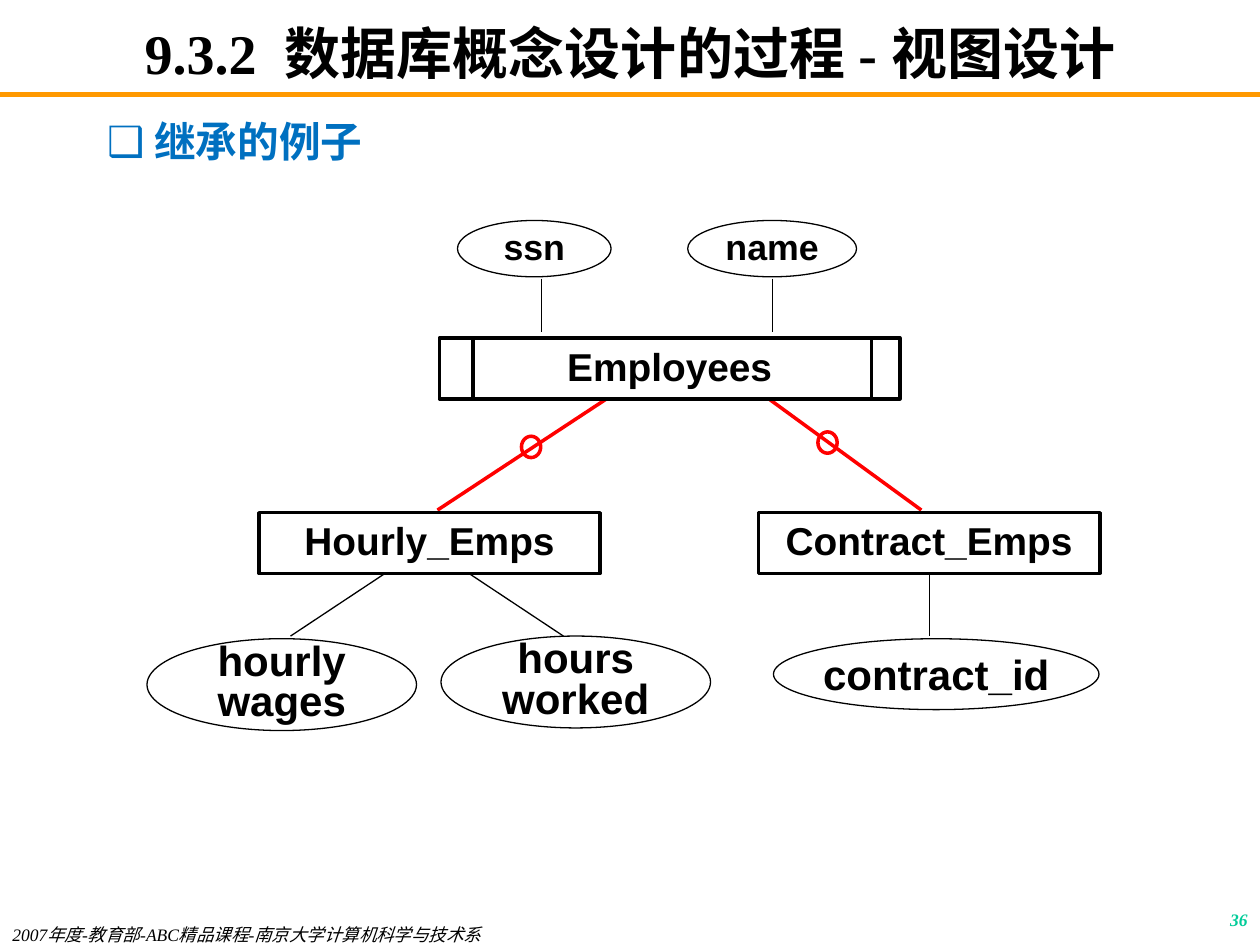
import pptx
import pptx.util
import pptx.dml.color
import pptx.enum.shapes
import pptx.enum.text
import pptx.oxml.ns
import pptx.oxml.xmlchemy
from lxml import etree

Pt = pptx.util.Pt
qn = pptx.oxml.ns.qn
MSO_SHAPE = pptx.enum.shapes.MSO_SHAPE
ALIGN = pptx.enum.text.PP_ALIGN
ANCHOR = pptx.enum.text.MSO_ANCHOR

COLORS = {
    "black": "000000",
    "white": "FFFFFF",
    "orange": "FF9900",
    "green": "00CC99",
    "blue": "0070C0",
    "red": "FF0000",
}
LATIN, SANS, CJK = "Times New Roman", "Arial", "Noto Sans CJK SC"


def rgb(name):
    return pptx.dml.color.RGBColor.from_string(COLORS[name])


def style_paragraph(paragraph, size, font=LATIN, color="black", bold=True,
                    italic=False, align=None, spacing=None):
    paragraph.font.size = Pt(size)
    paragraph.font.name = font
    paragraph.font.bold = bold
    paragraph.font.italic = italic
    paragraph.font.color.rgb = rgb(color)
    paragraph.alignment = align
    paragraph.line_spacing = spacing
    defaults = paragraph._p.pPr.find(qn("a:defRPr"))
    etree.SubElement(defaults, qn("a:ea"), typeface=CJK)


def fill_frame(frame, text, margins, anchor=ANCHOR.TOP, wrap=True, **style):
    """Write one styled paragraph; margins are horizontal and vertical."""
    frame.auto_size = pptx.enum.text.MSO_AUTO_SIZE.NONE
    frame.word_wrap = wrap
    frame.vertical_anchor = anchor
    frame.margin_left = frame.margin_right = Pt(margins[0])
    frame.margin_top = frame.margin_bottom = Pt(margins[1])
    frame.text = text
    paragraph = frame.paragraphs[0]
    style_paragraph(paragraph, **style)
    return paragraph


def place(shape, left, top, width, height):
    shape.left, shape.top = Pt(left), Pt(top)
    shape.width, shape.height = Pt(width), Pt(height)


def add_bullet(paragraph, character, color, indent):
    properties = paragraph._p.pPr
    properties.set("marL", str(Pt(indent)))
    properties.set("indent", str(-Pt(indent)))
    bullet_color = etree.Element(qn("a:buClr"))
    etree.SubElement(bullet_color, qn("a:srgbClr"), val=COLORS[color])
    bullet = etree.Element(qn("a:buChar"), char=character)
    defaults = properties.find(qn("a:defRPr"))
    defaults.addprevious(bullet_color)
    defaults.addprevious(bullet)


def add_text(slide, box, text, margins, **style):
    text_box = slide.shapes.add_textbox(*map(Pt, box))
    fill_frame(text_box.text_frame, text, margins, **style)


def add_line(slide, start, end, color="black", width=0.75):
    line = slide.shapes.add_connector(
        pptx.enum.shapes.MSO_CONNECTOR.STRAIGHT, *map(Pt, start + end))
    line.line.color.rgb = rgb(color)
    line.line.width = Pt(width)
    etree.SubElement(line._element.spPr, qn("a:effectLst"))
    return line


def add_outlined(slide, kind, box, color="black", width=0.75):
    shape = slide.shapes.add_shape(kind, *map(Pt, box))
    shape.shadow.inherit = False
    shape.fill.background()
    shape.line.color.rgb = rgb(color)
    shape.line.width = Pt(width)
    return shape


def add_labelled(slide, kind, box, text, size, width, spacing, margins=(0, 0)):
    shape = add_outlined(slide, kind, box, width=width)
    shape.fill.solid()
    shape.fill.fore_color.rgb = rgb("white")
    fill_frame(shape.text_frame, text, margins, ANCHOR.MIDDLE, wrap=" " in text,
               size=size, font=SANS, align=ALIGN.CENTER, spacing=spacing)
    return shape


def add_entity(slide, box, text):
    return add_labelled(slide, MSO_SHAPE.RECTANGLE, box, text, 22.2, 2, 0.9,
                        (7.2, 3.6))


def add_attribute(slide, box, text, size=24, spacing=0.8):
    return add_labelled(slide, MSO_SHAPE.OVAL, box, text, size, 0.75, spacing)


def add_inheritance(slide, parent, child, ring):
    """Red line from parent to child with a small ring on it."""
    add_line(slide, parent, child, "red", 2)
    add_outlined(slide, MSO_SHAPE.OVAL, ring + (11, 12.2), "red", 2)


def add_headings(slide):
    title, body = slide.shapes.title, slide.placeholders[1]
    place(title, 54, 12, 612, 36)
    fill_frame(title.text_frame, "9.3.2  数据库概念设计的过程 - 视图设计", (7.2, 0),
               ANCHOR.MIDDLE, size=32, align=ALIGN.CENTER)
    place(body, 54, 66, 612, 36)
    paragraph = fill_frame(body.text_frame, "继承的例子", (7.2, 3.6),
                           size=23.8, color="blue", spacing=0.9)
    paragraph.space_before = Pt(7)
    add_bullet(paragraph, "❑", "blue", 27)


def add_footer(slide):
    add_text(slide, (570, 516, 150, 24), "36", (7.2, 3.6), size=10,
             color="green", italic=True, align=ALIGN.RIGHT)
    add_text(slide, (0, 528, 396, 12),
             "2007年度-教育部-ABC精品课程-南京大学计算机科学与技术系",
             (7.2, 0), size=10, bold=False, italic=True)


def add_diagram(slide):
    add_inheritance(slide, (346.5, 228), (250, 291.5), (298, 249.3))
    add_inheritance(slide, (436, 225.5), (526.5, 291.5), (467.4, 246.8))

    add_attribute(slide, (442, 365, 186, 40.5), "contract_id", spacing=1.0)
    contract = add_entity(slide, (433.5, 293, 195, 34.7), "Contract_Emps")
    id_line = add_line(slide, (531, 327.7), (531, 363.5))
    id_line.begin_connect(contract, 2)

    add_entity(slide, (148, 293, 195, 34.7), "Hourly_Emps")
    add_attribute(slide, (84, 365, 154, 52.5), "hourly wages")
    add_attribute(slide, (252, 363.5, 154, 52.5), "hours worked")
    for top_x, bottom_x in ((220, 166), (268, 322)):
        add_line(slide, (top_x, 327.7), (bottom_x, 363.5))

    add_attribute(slide, (261.4, 126, 87.8, 32.2), "ssn", 20.4, 0.9)
    add_attribute(slide, (393, 126, 96.5, 32.2), "name", 20.4, 0.9)
    for x in (309.6, 441.5):
        add_line(slide, (x, 159.3), (x, 189.5))

    add_entity(slide, (251.2, 193, 263, 35), "Employees")
    for x in (270.4, 498):
        add_line(slide, (x, 193), (x, 228), width=2)


def main():
    presentation = pptx.Presentation()
    presentation.slide_width, presentation.slide_height = Pt(720), Pt(540)
    slide = presentation.slides.add_slide(presentation.slide_layouts[1])
    add_line(slide, (0, 54), (720, 54), "orange", 3)
    add_headings(slide)
    add_footer(slide)
    add_diagram(slide)
    presentation.save("out.pptx")


if __name__ == "__main__":
    main()
